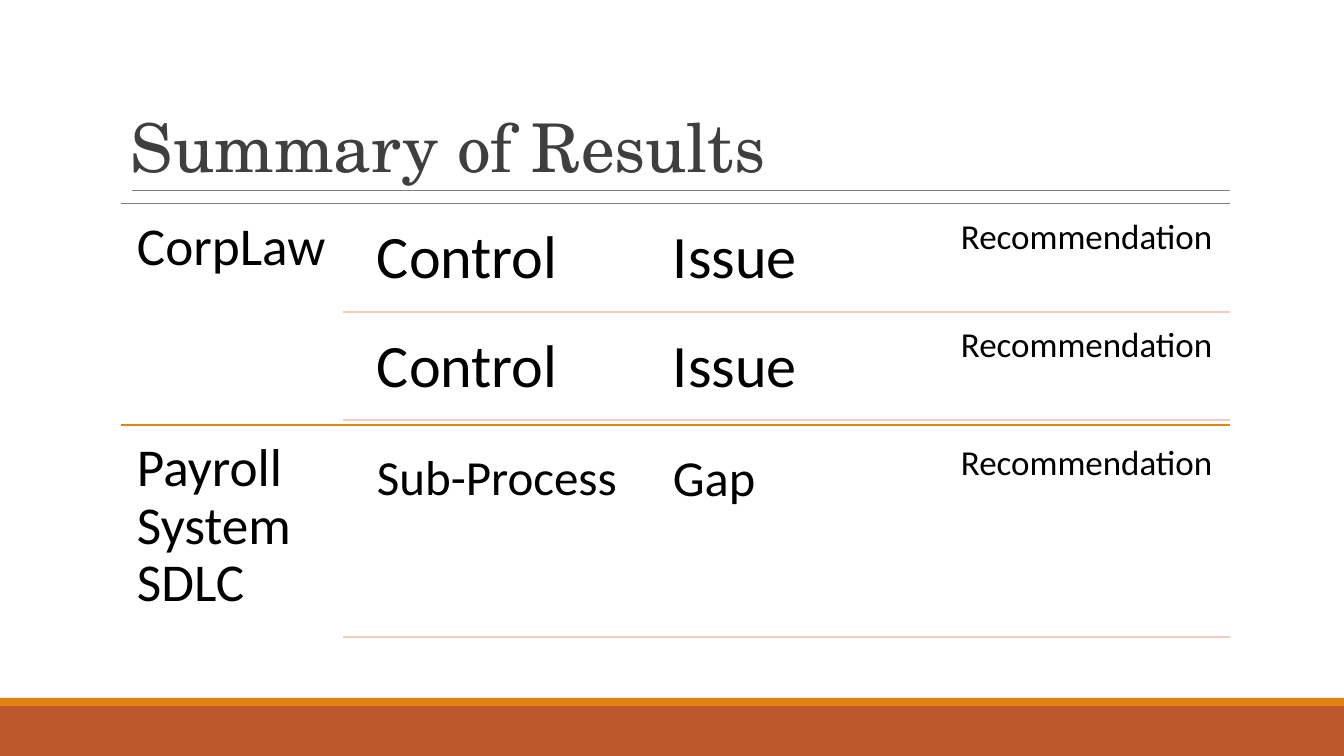
from pptx import Presentation
from pptx.dml.color import RGBColor
from pptx.enum.shapes import MSO_CONNECTOR, MSO_SHAPE
from pptx.enum.text import MSO_ANCHOR, MSO_AUTO_SIZE, PP_ALIGN
from pptx.oxml import parse_xml
from pptx.oxml.ns import nsdecls
from pptx.util import Pt

PX = 914400 / 100.8
COLORS = {
    "rust": "BD582C", "orange": "E48312", "section": "E38310", "peach": "F2CDBA",
    "gray": "7F7F7F", "title": "3F3F3F", "text": "000000",
}


def write_text(shape, bounds, inset, text, size, font, color, spacing, anchor):
    shape.left, shape.top, shape.width, shape.height = [round(v * PX) for v in bounds]
    frame = shape.text_frame
    frame.word_wrap = True
    frame.auto_size = MSO_AUTO_SIZE.NONE
    frame.vertical_anchor = anchor
    frame.margin_left = frame.margin_right = round(inset[0] * PX)
    frame.margin_top = frame.margin_bottom = round(inset[1] * PX)
    frame.text = text
    para = frame.paragraphs[0]
    para.alignment = PP_ALIGN.LEFT
    para.line_spacing = spacing
    span = para.runs[0]
    span.font.size = Pt(size)
    span.font.name = font
    span.font.color.rgb = RGBColor.from_string(COLORS[color])


def draw_rule(left, right, y, color, weight):
    rule = page.shapes.add_connector(
        MSO_CONNECTOR.STRAIGHT, *[round(v * PX) for v in (left, y, right, y)])
    rule.line.color.rgb = RGBColor.from_string(COLORS[color])
    rule.line.width = Pt(weight)
    rule._element.spPr.append(parse_xml(f"<a:effectLst {nsdecls('a')}/>"))


deck = Presentation()
deck.slide_width, deck.slide_height = round(1344 * PX), round(756 * PX)
page = deck.slides.add_slide(deck.slide_layouts[5])

# Footer bands
for top, height, color in [(706, 50, "rust"), (698, 8, "orange")]:
    band = page.shapes.add_shape(
        MSO_SHAPE.RECTANGLE, 0, round(top * PX), round(1344 * PX), round(height * PX))
    band.shadow.inherit = False
    band.fill.solid()
    band.fill.fore_color.rgb = RGBColor.from_string(COLORS[color])
    band.line.fill.background()

# Title and its underline
draw_rule(132, 1230, 191, "gray", 0.75)
write_text(page.shapes.title, (121, 31, 1109, 160), (10, 5), "Summary of Results",
           48, "TeX Gyre Schola", "title", 0.85, MSO_ANCHOR.BOTTOM)

# Sections: name, top, rule colour and weight, rows of (top, height, cells with text sizes)
finding = [("Control", 43), ("Issue", 43), ("Recommendation", 25)]
process = [("Sub-Process", 35), ("Gap", 36), ("Recommendation", 25)]
sections = [
    ("CorpLaw", 204, "gray", 0.75, [(209, 103, finding), (317, 103, finding)]),
    ("Payroll System SDLC", 425, "section", 1.25, [(435, 202, process)]),
]
cell_insets = [18, 18, 10]

for name, section_top, color, weight, rows in sections:
    draw_rule(121, 1230, section_top, color, weight)
    box = page.shapes.add_textbox(0, 0, 0, 0)
    write_text(box, (121, section_top, 222, 222), (16, 16), name,
               38, "Calibri", "text", 0.9, MSO_ANCHOR.TOP)
    for row_top, height, cells in rows:
        for column, (text, size) in enumerate(cells):
            box = page.shapes.add_textbox(0, 0, 0, 0)
            inset = cell_insets[column]
            write_text(box, (359 + 296 * column, row_top, 279, height), (inset, inset),
                       text, size, "Calibri", "text", 0.9, MSO_ANCHOR.TOP)
        draw_rule(343, 1230, row_top + height, "peach", 1.25)

deck.save("out.pptx")
